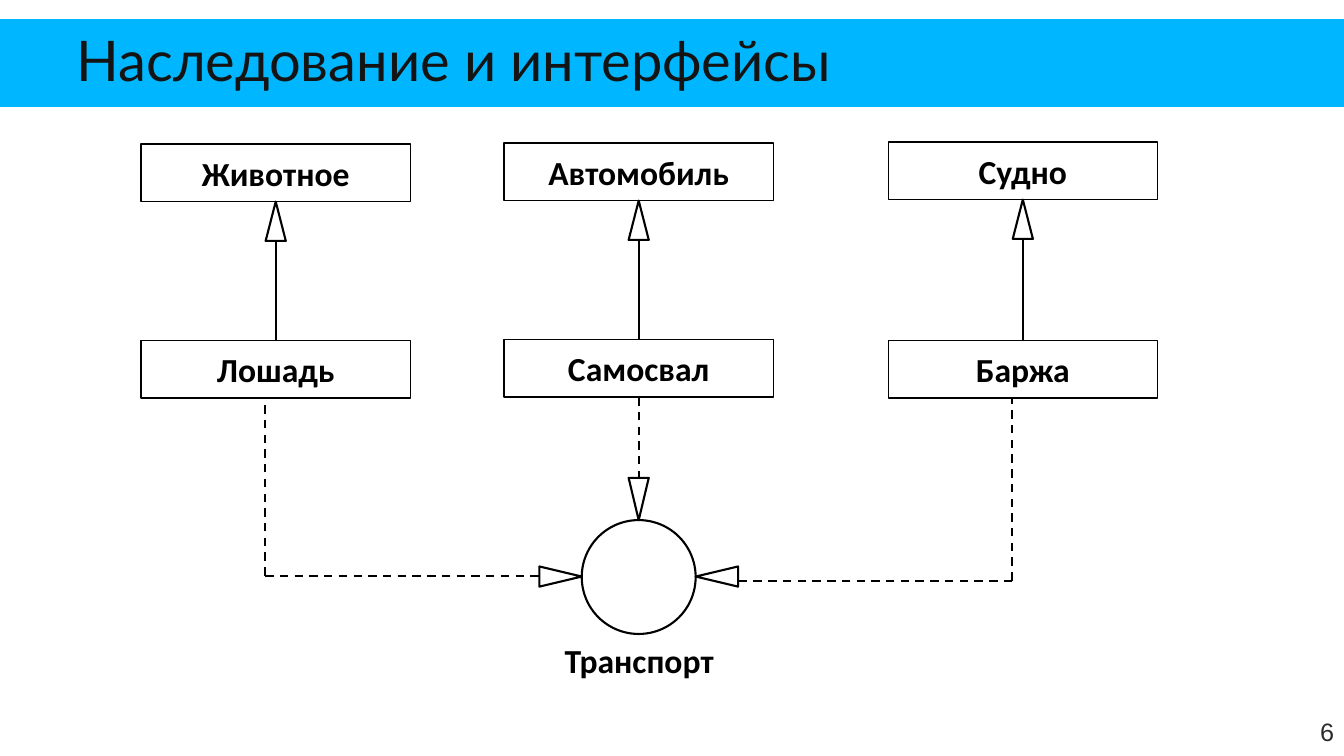
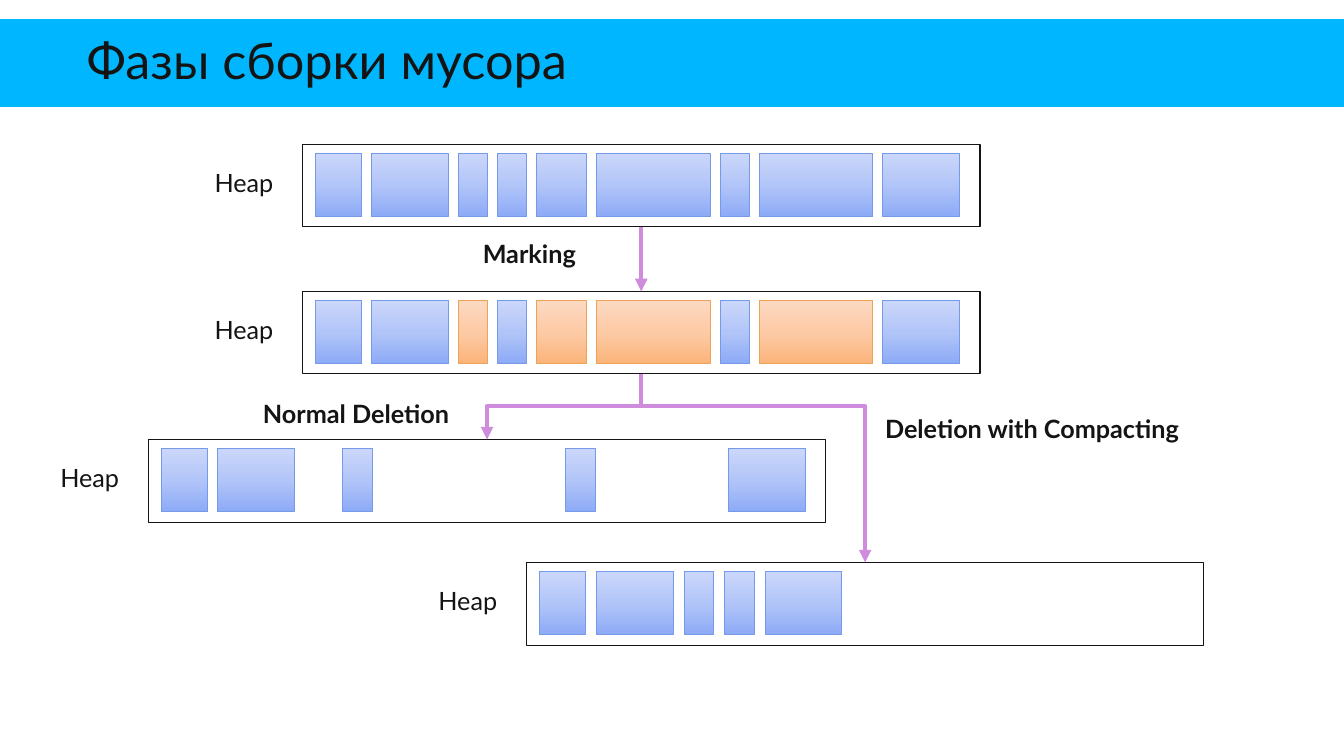
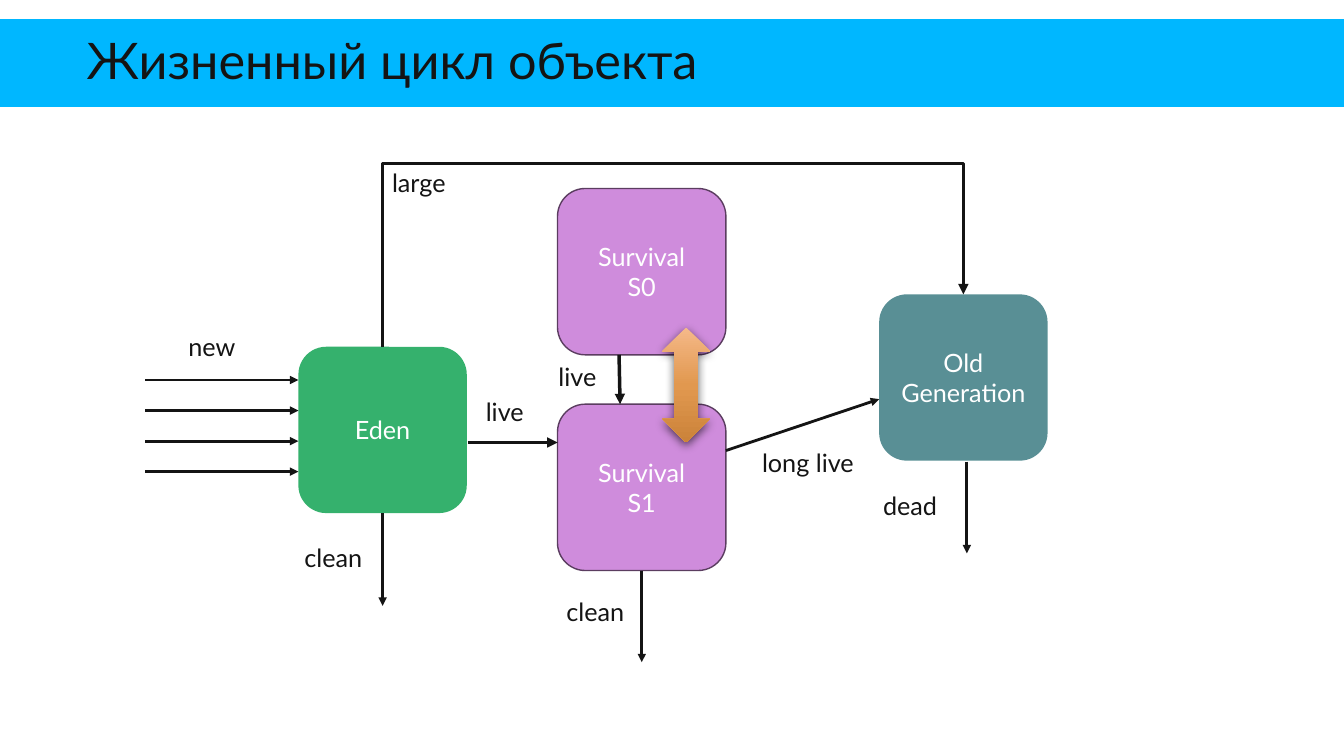
from copy import deepcopy

from lxml.etree import SubElement
from pptx import Presentation
from pptx.dml.color import RGBColor
from pptx.enum.dml import MSO_LINE
from pptx.enum.shapes import MSO_CONNECTOR as CXN, MSO_SHAPE as SHAPE
from pptx.enum.text import MSO_ANCHOR as ANCHOR, MSO_AUTO_SIZE as FIT, PP_ALIGN as ALIGN
from pptx.oxml.ns import qn
from pptx.util import Inches, Pt

CELL = Inches(0.1)
TOP, LEFT, BOTTOM, RIGHT = range(4)

SKY = RGBColor(0x00, 0xB7, 0xFF)
INK = RGBColor(0x14, 0x14, 0x14)
GREY = RGBColor(0x2C, 0x2C, 0x2C)
BLACK = RGBColor(0x00, 0x00, 0x00)
WHITE = RGBColor(0xFF, 0xFF, 0xFF)
LILAC = RGBColor(0xCF, 0x8C, 0xDC)
PLUM = RGBColor(0x5B, 0x3D, 0x60)
GREEN = RGBColor(0x35, 0xB1, 0x6D)
TEAL = RGBColor(0x59, 0x8F, 0x95)
BLUE_EDGE = RGBColor(0x76, 0x9A, 0xEA)
ORANGE_EDGE = RGBColor(0xEE, 0xA3, 0x58)
BLUES = [RGBColor(0xCB, 0xD7, 0xFA), RGBColor(0xB2, 0xC5, 0xF9), RGBColor(0x8D, 0xAA, 0xF6)]
ORANGES = [RGBColor(0xFC, 0xD9, 0xC1), RGBColor(0xFD, 0xCA, 0xA6), RGBColor(0xFB, 0xB4, 0x7A)]
AMBERS = [RGBColor(0xF5, 0xB9, 0x89), RGBColor(0xE1, 0x98, 0x4F), RGBColor(0xCB, 0x83, 0x3A)]

BLOCK_WIDTHS = [4.6, 7.6, 2.9, 2.9, 5, 11.3, 2.9, 11.3, 7.6]
DEAD = {2, 4, 5, 7}
LIVE_WIDTHS = [w for i, w in enumerate(BLOCK_WIDTHS) if i not in DEAD]


def cells(*values):
    return [int(v * CELL) for v in values]


class Deck:
    font = "Lato"

    def __init__(self):
        self.prs = Presentation()
        self.prs.slide_width, self.prs.slide_height = Inches(13.33), Inches(7.5)
        self.layout = self.prs.slide_layouts[5]
        self.s = None

    def slide(self, title, size=36, inset=1):
        first = self.s is None
        self.s = self.prs.slides.add_slide(self.layout)
        if first:
            band = self.box(0, 1.9, 133.3, 8.7, fill=SKY)
            band.element.nvSpPr.cNvPr.set("id", "20")
            self.layout.shapes.element.insert(2, band.element)
        sp = self.s.shapes.title
        sp.left, sp.top, sp.width, sp.height = cells(7.6, 3.1, 118.1, 6.6)
        tf = self.put_text(sp, [title], size, INK, align=ALIGN.LEFT)
        tf.auto_size = FIT.NONE
        tf.paragraphs[0].line_spacing = 0.85
        tf.margin_left, tf.margin_right = cells(inset, inset)
        tf.margin_top = tf.margin_bottom = 0

    def put_text(self, sp, lines, size=18, color=INK, font=None, bold=False,
                 align=ALIGN.CENTER, anchor=ANCHOR.MIDDLE):
        tf = sp.text_frame
        tf.word_wrap = True
        tf.vertical_anchor = anchor
        for i, line in enumerate(lines):
            p = tf.add_paragraph() if i else tf.paragraphs[0]
            p.alignment = align
            r = p.add_run()
            r.text = line
            r.font.name, r.font.size = font or self.font, Pt(size)
            r.font.bold, r.font.color.rgb = bold, color
        return tf

    def paint(self, sp, fill, line, width):
        sp.shadow.inherit = False
        if fill is None:
            sp.fill.background()
        elif isinstance(fill, list):
            self.shade(sp, fill)
        else:
            sp.fill.solid()
            sp.fill.fore_color.rgb = fill
        if line is None:
            sp.line.fill.background()
        else:
            sp.line.color.rgb, sp.line.width = line, Pt(width)
        return sp

    def shade(self, sp, colors):
        sp.fill.gradient()
        sp.fill.gradient_angle = 270
        stops = sp.element.spPr.find(".//" + qn("a:gsLst"))
        stops.insert(1, deepcopy(stops[0]))
        for i, (stop, color) in enumerate(zip(sp.fill.gradient_stops, colors)):
            stop.color.rgb, stop.position = color, i / 2

    def box(self, x, y, w, h, fill=None, line=None, width=1, kind=SHAPE.RECTANGLE):
        sp = self.s.shapes.add_shape(kind, *cells(x, y, w, h))
        return self.paint(sp, fill, line, width)

    def label(self, x, y, w, text, wrap=True, bold=False):
        sp = self.s.shapes.add_textbox(*cells(x, y, w, 4))
        tf = self.put_text(sp, [text], bold=bold, align=ALIGN.LEFT, anchor=ANCHOR.TOP)
        tf.word_wrap, tf.auto_size = wrap, FIT.SHAPE_TO_FIT_TEXT

    def number(self, text):
        sp = self.s.shapes.add_textbox(*cells(124.2, 70.6, 9.1, 4))
        self.put_text(sp, [text], 18, GREY, "Arial", align=ALIGN.RIGHT)

    def node(self, x, y, text, line=BLACK, w=26.7, h=5.7):
        sp = self.box(x, y, w, h, WHITE, line)
        self.put_text(sp, [text], 24, BLACK, "Calibri", True)
        return sp

    def space(self, x, y, lines, fill, line=None):
        sp = self.box(x, y, 16.7, 16.5, fill, line, kind=SHAPE.ROUNDED_RECTANGLE)
        self.put_text(sp, lines, color=WHITE)
        return sp

    def heap(self, x, y, widths, dead=(), gone=(), gap=0.97):
        sp = self.box(x, y, 67.2, 8.2, None, INK, 0.75)
        left = x + 1.3
        for i, w in enumerate(widths):
            fill, edge = (ORANGES, ORANGE_EDGE) if i in dead else (BLUES, BLUE_EDGE)
            if i not in gone:
                self.box(left, y + 0.9, w, 6.3, fill, edge, 0.75)
            left += w + gap
        self.label(x - 9.7, y + 1.8, 9.7, "Heap")
        return sp

    def triangle(self, x, y, dx, dy, length):
        bx, by = x - dx * length, y - dy * length
        tip, a, b = cells(x, y), cells(bx - dy, by + dx), cells(bx + dy, by - dx)
        fb = self.s.shapes.build_freeform(*tip)
        fb.add_line_segments([a, b], close=True)
        self.paint(fb.convert_to_shape(), WHITE, BLACK, 1.5)

    def point(self, end):
        sp, site = end
        if not hasattr(sp, "shape_id"):
            return cells(*end)
        across, down = {TOP: (1, 0), LEFT: (0, 1), BOTTOM: (1, 2), RIGHT: (2, 1)}[site]
        return [sp.left + sp.width * across // 2, sp.top + sp.height * down // 2]

    def line(self, start, end, color=INK, width=2.0, dash=False, arrow=True, kind=CXN.STRAIGHT):
        c = self.s.shapes.add_connector(kind, *self.point(start), *self.point(end))
        if hasattr(start[0], "shape_id"):
            c.begin_connect(*start)
        if hasattr(end[0], "shape_id"):
            c.end_connect(*end)
        c.line.color.rgb, c.line.width = color, Pt(width)
        if dash:
            c.line.dash_style = MSO_LINE.DASH
        if arrow:
            SubElement(c.element.spPr.find(qn("a:ln")), qn("a:tailEnd"), type="triangle")
        SubElement(c.element.spPr, qn("a:effectLst"))
        return c

    def elbow(self, start, end, via, color, width):
        c = self.line(start, end, color, width, kind=CXN.ELBOW)
        x, y, dx, dy = c.begin_x, c.begin_y, c.end_x - c.begin_x, c.end_y - c.begin_y
        turn = -1 if dx > 0 and dy > 0 else 1
        c.width, c.height = abs(dy), abs(dx)
        c.left = x + (dx - abs(dy)) // 2
        c.top = y + (dy - abs(dx)) // 2
        xfrm = c.element.spPr.find(qn("a:xfrm"))
        xfrm.set("rot", "5400000" if turn > 0 else "16200000")
        xfrm.set("flipH", str(int(turn * dy < 0)))
        xfrm.set("flipV", str(int(turn * dx > 0)))
        share = round((via * CELL - y) / dy * 100000)
        guides = c.element.spPr.find(".//" + qn("a:avLst"))
        SubElement(guides, qn("a:gd"), name="adj1", fmla=f"val {share}")

    def swap_arrow(self, x, y, w, h):
        sp = self.box(x, y, w, h, AMBERS, kind=SHAPE.UP_DOWN_ARROW)
        effects = sp.element.spPr.find(qn("a:effectLst"))
        shadow = SubElement(effects, qn("a:outerShdw"), blurRad=str(int(Pt(7))),
                            dist=str(int(Pt(2.2))), dir="5400000", rotWithShape="0")
        color = SubElement(shadow, qn("a:srgbClr"), val=str(BLACK))
        SubElement(color, qn("a:alpha"), val="63000")


def inheritance(d):
    d.slide("Наследование и интерфейсы", 40, 0)
    d.number("6")
    children = []
    for x, top, parent, low, child in [(14, 14.3, "Животное", 33.8, "Лошадь"),
                                       (50, 14.2, "Автомобиль", 33.7, "Самосвал"),
                                       (88.1, 14.1, "Судно", 33.8, "Баржа")]:
        d.node(x, top, parent)
        sp = d.node(x, low, child)
        children.append(sp)
        middle, tip = x + 13.35, top + 5.7
        d.triangle(middle, tip, 0, -1, 3.9)
        d.line((sp, TOP), (middle, tip + 3.9), BLACK, 1.5, arrow=False)

    d.node(51.9, 63, "Транспорт", None, 23, 4.9)
    d.box(57.7, 51.6, 11.3, 11.3, WHITE, BLACK, 1.5, SHAPE.OVAL)
    d.triangle(63.35, 51.6, 0, 1, 4.2)
    d.line((children[1], BOTTOM), (63.35, 47.4), BLACK, 1.5, True, False)
    for tip, dx, corner, y in [(57.7, 1, 26.3, 57.1), (69, -1, 100.4, 57.6)]:
        d.triangle(tip, 57.2, dx, 0, 4.2)
        d.line((corner, y), (tip - dx * 4.2, y), BLACK, 1.5, True, False)
        d.line((corner, y), (corner, 39.4), BLACK, 1.5, True, False)


def collection_phases(d):
    d.slide("Фазы сборки мусора")
    full = d.heap(30, 14.3, BLOCK_WIDTHS)
    marked = d.heap(30, 28.9, BLOCK_WIDTHS, dead=DEAD)
    swept = d.heap(14.7, 43.6, BLOCK_WIDTHS, gone=DEAD)
    compact = d.heap(52.2, 55.8, LIVE_WIDTHS, gap=1.1)
    d.line((full, BOTTOM), (marked, TOP), LILAC, 3)
    for target in (swept, compact):
        d.elbow((marked, BOTTOM), (target, TOP), 40.3, LILAC, 3)
    for x, y, w, text in [(46.9, 23.2, 13.6, "Marking"),
                          (25.1, 39, 21.8, "Normal Deletion"),
                          (86.8, 40.5, 35.6, "Deletion with Compacting")]:
        d.label(x, y, w, text, bold=True)


def object_life(d):
    d.slide("Жизненный цикл объекта")
    eden = d.space(29.6, 34.4, ["Eden"], GREEN)
    d.space(55.3, 18.7, ["Survival", "S0"], LILAC, PLUM)
    s1 = d.space(55.3, 40.1, ["Survival", "S1"], LILAC, PLUM)
    old = d.space(87.2, 29.2, ["Old Generation"], TEAL)
    for i in range(4):
        y = 37.7 + 3.03 * i
        d.line((14.4, y), (29.6, y))
    for start, end, width in [((eden, BOTTOM), (37.95, 60.1), 2),
                              ((s1, BOTTOM), (63.65, 65.7), 2),
                              ((95.9, 45.8), (95.9, 54.9), 2),
                              ((72, 44.7), (87.2, 39.6), 2),
                              ((61.4, 35.2), (61.5, 40.1), 2.5),
                              ((46.4, 43.9), (55.3, 43.9), 2.5)]:
        d.line(start, end, width=width)
    d.swap_arrow(65.7, 32.5, 4.7, 11.4)
    d.elbow((eden, TOP), (old, TOP), 16.2, INK, 2.5)
    for x, y, w, text in [(17.7, 32.4, 7.7, "new"), (29.2, 53.3, 8.4, "clean"),
                          (86.6, 48.2, 8.7, "dead"), (47.2, 38.8, 6.7, "live"),
                          (74.6, 43.9, 12, "long live"), (55.2, 58.7, 8.4, "clean"),
                          (54.4, 35.4, 6.7, "live"), (37.9, 16.1, 8.6, "large")]:
        d.label(x, y, w, text, wrap=False)


def main():
    d = Deck()
    inheritance(d)
    collection_phases(d)
    object_life(d)
    d.prs.save("out.pptx")


if __name__ == "__main__":
    main()
